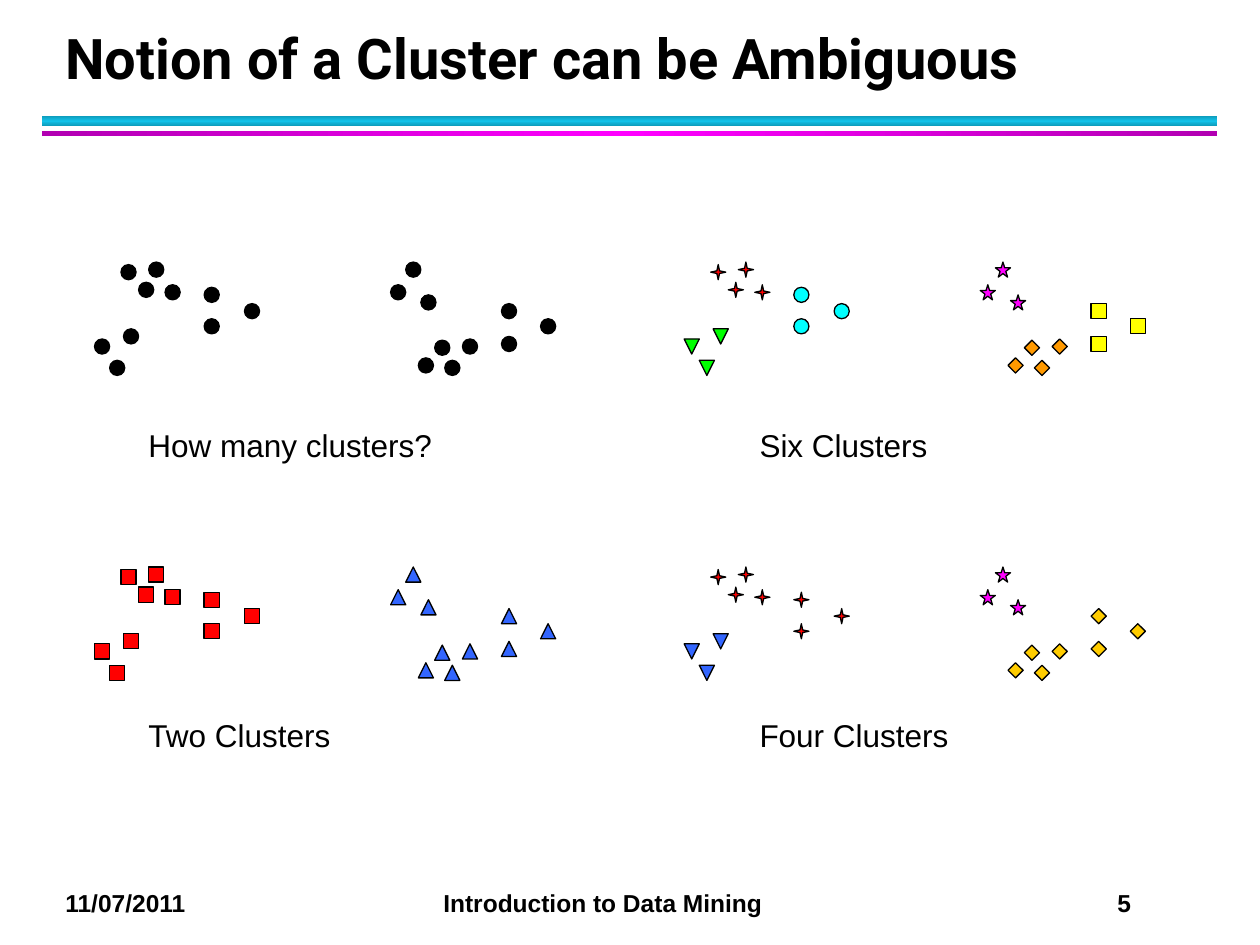
import copy

import pptx
import pptx.util
import pptx.dml.color
import pptx.enum.shapes
import pptx.enum.text
import pptx.oxml.ns
from lxml import etree

Inches, Pt = pptx.util.Inches, pptx.util.Pt
RGBColor = pptx.dml.color.RGBColor
MSO_SHAPE = pptx.enum.shapes.MSO_SHAPE
MSO_ANCHOR = pptx.enum.text.MSO_ANCHOR
qn = pptx.oxml.ns.qn

BLACK = RGBColor(0x00, 0x00, 0x00)
RED = RGBColor(0xFF, 0x00, 0x00)
BLUE = RGBColor(0x33, 0x66, 0xFF)
GREEN = RGBColor(0x00, 0xFF, 0x00)
CYAN = RGBColor(0x00, 0xFF, 0xFF)
MAGENTA = RGBColor(0xFF, 0x00, 0xFF)
YELLOW = RGBColor(0xFF, 0xFF, 0x00)
ORANGE = RGBColor(0xFF, 0x99, 0x00)
GOLD = RGBColor(0xFF, 0xCC, 0x00)
TEAL = RGBColor(0x12, 0xC2, 0xE9)
DARK_TEAL = RGBColor(0x0E, 0x9B, 0xBA)
PURPLE = RGBColor(0xB2, 0x00, 0xB2)

# Top left corners of the markers in the first panel, by natural cluster
POINT_GROUPS = [
    [(1.31, 2.26), (0.96, 2.10), (1.18, 2.08), (1.10, 2.24)],
    [(0.98, 2.61), (0.75, 2.69), (0.87, 2.86)],
    [(1.62, 2.28), (1.94, 2.41), (1.62, 2.53)],
    [(3.34, 2.34), (3.10, 2.26), (3.22, 2.08)],
    [(3.67, 2.69), (3.32, 2.84), (3.53, 2.86), (3.45, 2.70)],
    [(3.98, 2.67), (4.29, 2.53), (3.98, 2.41)],
]
MARKER_SIZE = 0.12
PANEL_DX, PANEL_DY = 4.68, 2.42
LABEL_X, LABEL_Y, LABEL_DX, LABEL_DY = 1.08, 3.33, 4.85, 2.3

# Markers: shape and colour
DOT = (MSO_SHAPE.OVAL, BLACK)
RED_SQUARE = (MSO_SHAPE.RECTANGLE, RED)
BLUE_UP = (MSO_SHAPE.ISOSCELES_TRIANGLE, BLUE)
BLUE_DOWN = (MSO_SHAPE.FLOWCHART_MERGE, BLUE)
GREEN_DOWN = (MSO_SHAPE.FLOWCHART_MERGE, GREEN)
RED_STAR = (MSO_SHAPE.STAR_4_POINT, RED)
PINK_STAR = (MSO_SHAPE.STAR_5_POINT, MAGENTA)
CYAN_DOT = (MSO_SHAPE.OVAL, CYAN)
ORANGE_DIAMOND = (MSO_SHAPE.DIAMOND, ORANGE)
GOLD_DIAMOND = (MSO_SHAPE.DIAMOND, GOLD)
YELLOW_SQUARE = (MSO_SHAPE.RECTANGLE, YELLOW)

# Panels: caption, column, row, one marker for each point group
PANELS = [
    ("How many clusters?", 0, 0, [DOT] * 6),
    ("Six Clusters", 1, 0, [RED_STAR, GREEN_DOWN, CYAN_DOT,
                            PINK_STAR, ORANGE_DIAMOND, YELLOW_SQUARE]),
    ("Two Clusters", 0, 1, [RED_SQUARE] * 3 + [BLUE_UP] * 3),
    ("Four Clusters", 1, 1, [RED_STAR, BLUE_DOWN, RED_STAR,
                             PINK_STAR, GOLD_DIAMOND, GOLD_DIAMOND]),
]


class ClusterSlide:
    body_font = "Arial"
    title_font = "Roboto"

    def __init__(self, slide):
        self.slide = slide

    def text(self, parent, content, left, top, width, height, size,
             font=None, bold=False, anchor=MSO_ANCHOR.TOP, spacing=None, tabs=()):
        frame = parent.add_textbox(Inches(left), Inches(top),
                                   Inches(width), Inches(height)).text_frame
        frame.word_wrap = True
        frame.vertical_anchor = anchor
        frame.text = content
        paragraph = frame.paragraphs[0]
        if spacing:
            paragraph.line_spacing = Pt(spacing)
        if tabs:
            stops = etree.SubElement(paragraph._p.get_or_add_pPr(), qn("a:tabLst"))
            for position in tabs:
                etree.SubElement(stops, qn("a:tab"), pos=str(Inches(position)), algn="l")
        for run in paragraph.runs:
            run.font.name = font or self.body_font
            run.font.size = Pt(size)
            run.font.bold = bold
            run.font.color.rgb = BLACK

    def rule(self, parent, top, height, edge, middle, angle):
        bar = parent.add_shape(MSO_SHAPE.RECTANGLE, Inches(0.33), Inches(top),
                               Inches(9.33), Inches(height))
        bar.shadow.inherit = False
        bar.line.fill.background()
        bar.fill.gradient()
        bar.fill.gradient_angle = angle
        stops = bar.fill.gradient_stops
        for stop, position, color in zip(stops, (0, 0.5), (edge, middle)):
            stop.position = position
            stop.color.rgb = color
        # The third stop repeats the edge colour
        stop_list = bar._element.spPr.find(".//" + qn("a:gsLst"))
        last_stop = copy.deepcopy(stop_list[0])
        last_stop.set("pos", "100000")
        stop_list.append(last_stop)

    def marker(self, parent, kind, color, left, top):
        point = parent.add_shape(kind, Inches(left), Inches(top),
                                 Inches(MARKER_SIZE), Inches(MARKER_SIZE))
        if kind == MSO_SHAPE.STAR_4_POINT:
            point.adjustments[0] = 0.125
        point.shadow.inherit = False
        point.fill.solid()
        point.fill.fore_color.rgb = color
        point.line.color.rgb = BLACK
        point.line.width = Pt(0.75)

    def panel(self, caption, column, row, markers):
        group = self.slide.shapes.add_group_shape().shapes
        for points, (kind, color) in zip(POINT_GROUPS, markers):
            for x, y in points:
                self.marker(group, kind, color, x + column * PANEL_DX, y + row * PANEL_DY)
        self.text(group, caption, LABEL_X + column * LABEL_DX,
                  LABEL_Y + row * LABEL_DY, 2.5, 0.4, 18)


def main():
    deck = pptx.Presentation()
    deck.slide_width, deck.slide_height = Inches(10), Inches(7.5)
    slide = deck.slides.add_slide(deck.slide_layouts[6])
    page = ClusterSlide(slide)

    # Double rule under the title
    rules = slide.shapes.add_group_shape().shapes
    page.rule(rules, 0.92, 0.08, DARK_TEAL, TEAL, 90)
    page.rule(rules, 1.04, 0.04, PURPLE, MAGENTA, 0)

    # Footer and title
    page.text(slide.shapes, "11/07/2011\tIntroduction to Data Mining\t5",
              0.42, 7, 9.33, 0.34, 14, bold=True, tabs=(3, 8.35))
    page.text(slide.shapes, "Notion of a Cluster can be Ambiguous",
              0.42, 0.17, 9.06, 0.6, 32, font=page.title_font, bold=True,
              anchor=MSO_ANCHOR.BOTTOM, spacing=36)

    # Four readings of the same points
    for panel in PANELS:
        page.panel(*panel)

    deck.save("out.pptx")


if __name__ == "__main__":
    main()
